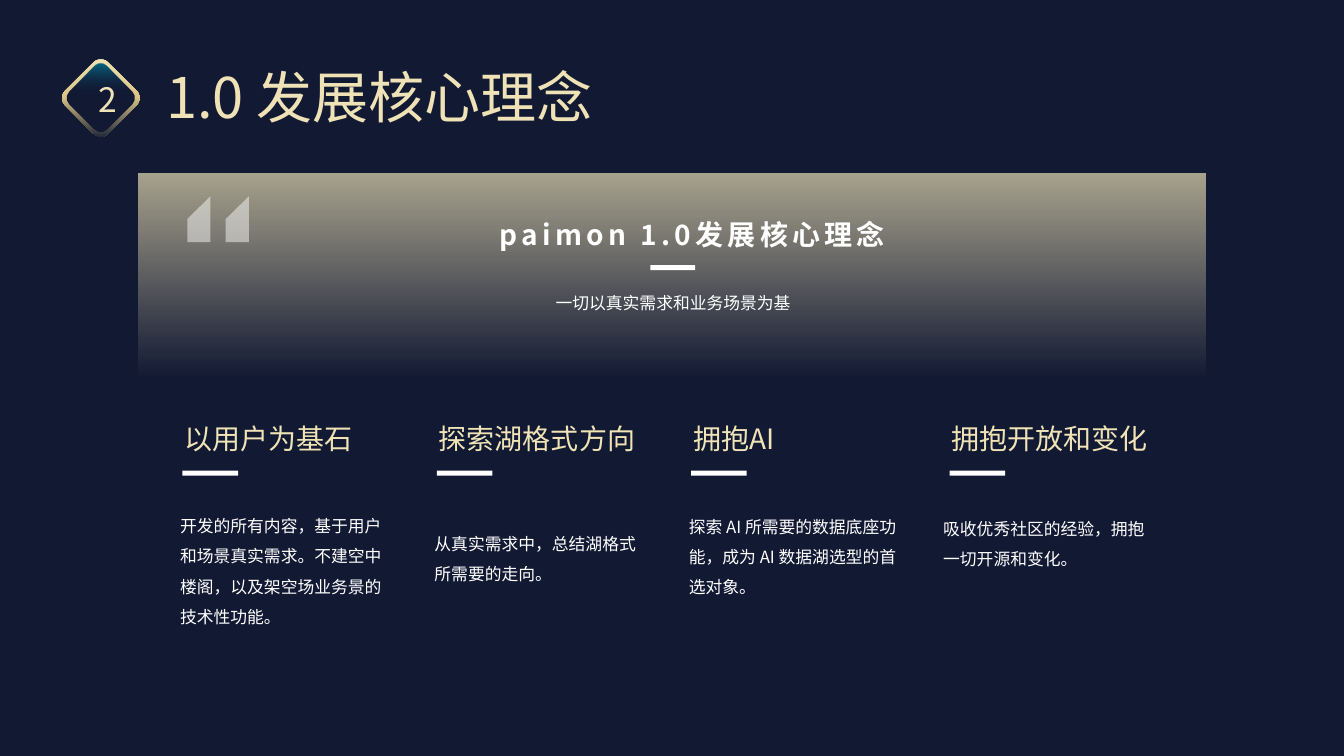
from typing import NamedTuple

from lxml.etree import SubElement
from pptx import Presentation
from pptx.dml.color import RGBColor
from pptx.enum.shapes import MSO_SHAPE
from pptx.enum.text import MSO_AUTO_SIZE, PP_ALIGN
from pptx.oxml import parse_xml
from pptx.oxml.ns import nsdecls, qn
from pptx.shapes.autoshape import Shape
from pptx.slide import Slide
from pptx.util import Cm, Pt

FONT = "Noto Sans CJK SC"
COLORS = {
    "night": "121933",
    "cream": "F0E4B7",
    "title": "EEE2B6",
    "gold": "D9C485",
    "teal": "047794",
    "khaki": "A7A28C",
    "quote": "F6F6F6",
    "white": "FFFFFF",
}


class Area(NamedTuple):
    """A rectangle in centimetres."""
    left: float
    top: float
    width: float
    height: float


class Stop(NamedTuple):
    position: int
    color: str
    opacity: int = 100


class Style(NamedTuple):
    size: int
    color: str = "white"
    align: PP_ALIGN = PP_ALIGN.LEFT
    line_spacing: float = 1.0
    bold: bool = False
    tracking: int = 0


class Principle(NamedTuple):
    heading: str
    body: str
    bar_left: float
    body_top: float
    body_height: float


PRINCIPLES = [
    Principle("以用户为基石",
              "开发的所有内容，基于用户和场景真实需求。不建空中楼阁，以及架空场业务景的技术性功能。",
              4.6, 12.62, 3.33),
    Principle("探索湖格式方向", "从真实需求中，总结湖格式所需要的走向。", 11.01, 13.06, 1.8),
    Principle("拥抱AI", "探索 AI 所需要的数据底座功能，成为 AI 数据湖选型的首选对象。",
              17.42, 12.63, 2.57),
    Principle("拥抱开放和变化", "吸收优秀社区的经验，拥抱一切开源和变化。", 23.93, 12.69, 1.8),
]
BODY_LEFT, BODY_PITCH, COLUMN_WIDTH = 4.29, 6.41, 5.87
HEADING = Style(20, "cream")
BODY = Style(12, line_spacing=1.5)


def rgb(name: str) -> RGBColor:
    return RGBColor.from_string(COLORS[name])


def set_alpha(color_element, percent: int) -> None:
    SubElement(color_element, qn("a:alpha")).set("val", str(percent * 1000))


def fill_solid(shape: Shape, color: str) -> None:
    shape.fill.solid()
    shape.fill.fore_color.rgb = rgb(color)
    shape.line.fill.background()
    shape.shadow.inherit = False


def fill_gradient(shape: Shape, stops: list[Stop], angle: int) -> None:
    """Replace the solid fill by a linear gradient that turns with the shape."""
    fill_solid(shape, stops[0].color)
    gradient = parse_xml(
        f'<a:gradFill {nsdecls("a")} rotWithShape="1"><a:gsLst/>'
        f'<a:lin ang="{angle * 60000}" scaled="0"/></a:gradFill>')
    for stop in stops:
        mark = SubElement(gradient[0], qn("a:gs"))
        mark.set("pos", str(stop.position * 1000))
        color = SubElement(mark, qn("a:srgbClr"))
        color.set("val", COLORS[stop.color])
        if stop.opacity < 100:
            set_alpha(color, stop.opacity)
    solid = shape._element.spPr.find(qn("a:solidFill"))
    solid.getparent().replace(solid, gradient)


def add_rectangle(page: Slide, area: Area, kind: MSO_SHAPE = MSO_SHAPE.RECTANGLE) -> Shape:
    shape = page.shapes.add_shape(kind, *(Cm(value) for value in area))
    fill_solid(shape, "white")
    return shape


def add_diamond(page: Slide, side: float) -> Shape:
    center_x, center_y = 2.54, 2.47
    area = Area(center_x - side / 2, center_y - side / 2, side, side)
    diamond = add_rectangle(page, area, MSO_SHAPE.ROUNDED_RECTANGLE)
    diamond.rotation = 45
    return diamond


def add_text(page: Slide, area: Area, text: str, style: Style) -> None:
    box = page.shapes.add_textbox(*(Cm(value) for value in area))
    frame = box.text_frame
    frame.word_wrap = True
    frame.auto_size = MSO_AUTO_SIZE.SHAPE_TO_FIT_TEXT
    frame.text = text
    para = frame.paragraphs[0]
    para.alignment = style.align
    para.line_spacing = style.line_spacing
    span = para.runs[0]
    span.font.size = Pt(style.size)
    span.font.bold = style.bold
    span.font.color.rgb = rgb(style.color)
    span.font.name = FONT
    properties = span._r.get_or_add_rPr()
    SubElement(properties, qn("a:ea")).set("typeface", FONT)
    if style.tracking:
        properties.set("spc", str(style.tracking * 100))


def add_title(page: Slide) -> None:
    fill_gradient(add_diamond(page, 1.53),
                  [Stop(0, "cream"), Stop(49, "gold"), Stop(100, "night")], 45)
    fill_solid(add_diamond(page, 1.35), "night")
    fill_gradient(add_diamond(page, 1.35), [Stop(0, "teal"), Stop(47, "night", 0)], 45)
    add_text(page, Area(2.23, 1.86, 0.64, 1.28), "2", Style(24, "cream", PP_ALIGN.CENTER))
    add_text(page, Area(3.94, 1.46, 13.26, 1.97), "1.0 发展核心理念", Style(40, "title"))


def add_quote_mark(page: Slide) -> None:
    left, top, width, height, slant, pitch = 4.72, 4.95, 0.58, 1.15, 0.57, 0.97
    builder = page.shapes.build_freeform(Cm(left), Cm(top + slant))
    for start in (left, left + pitch):
        if start != left:
            builder.move_to(Cm(start), Cm(top + slant))
        corners = [(start + width, top), (start + width, top + height), (start, top + height)]
        builder.add_line_segments([(Cm(x), Cm(y)) for x, y in corners], close=True)
    mark = builder.convert_to_shape()
    fill_solid(mark, "quote")
    set_alpha(mark._element.spPr.find(qn("a:solidFill"))[0], 50)


def add_panel(page: Slide) -> None:
    panel = add_rectangle(page, Area(3.48, 4.36, 26.92, 5.18))
    fill_gradient(panel, [Stop(0, "khaki"), Stop(100, "night")], 90)
    add_text(page, Area(11.94, 5.36, 11.02, 1.12), "paimon 1.0发展核心理念",
             Style(20, align=PP_ALIGN.CENTER, bold=True, tracking=3))
    add_text(page, Area(6.17, 7.01, 21.59, 1.02), "一切以真实需求和业务场景为基",
             BODY._replace(align=PP_ALIGN.CENTER))
    add_quote_mark(page)
    add_rectangle(page, Area(16.39, 6.68, 1.13, 0.13))


def add_principle(page: Slide, index: int, item: Principle) -> None:
    body_left = BODY_LEFT + index * BODY_PITCH
    add_text(page, Area(body_left, item.body_top, COLUMN_WIDTH, item.body_height),
             item.body, BODY)
    add_rectangle(page, Area(item.bar_left, 11.86, 1.4, 0.13))
    add_text(page, Area(item.bar_left - 0.2, 10.5, COLUMN_WIDTH, 1.12), item.heading, HEADING)


def main() -> None:
    deck = Presentation()
    deck.slide_width, deck.slide_height = Cm(33.87), Cm(19.05)
    page = deck.slides.add_slide(deck.slide_layouts[6])
    page.background.fill.solid()
    page.background.fill.fore_color.rgb = rgb("night")
    add_title(page)
    for index, item in enumerate(PRINCIPLES):
        add_principle(page, index, item)
    add_panel(page)
    deck.save("out.pptx")


if __name__ == "__main__":
    main()
